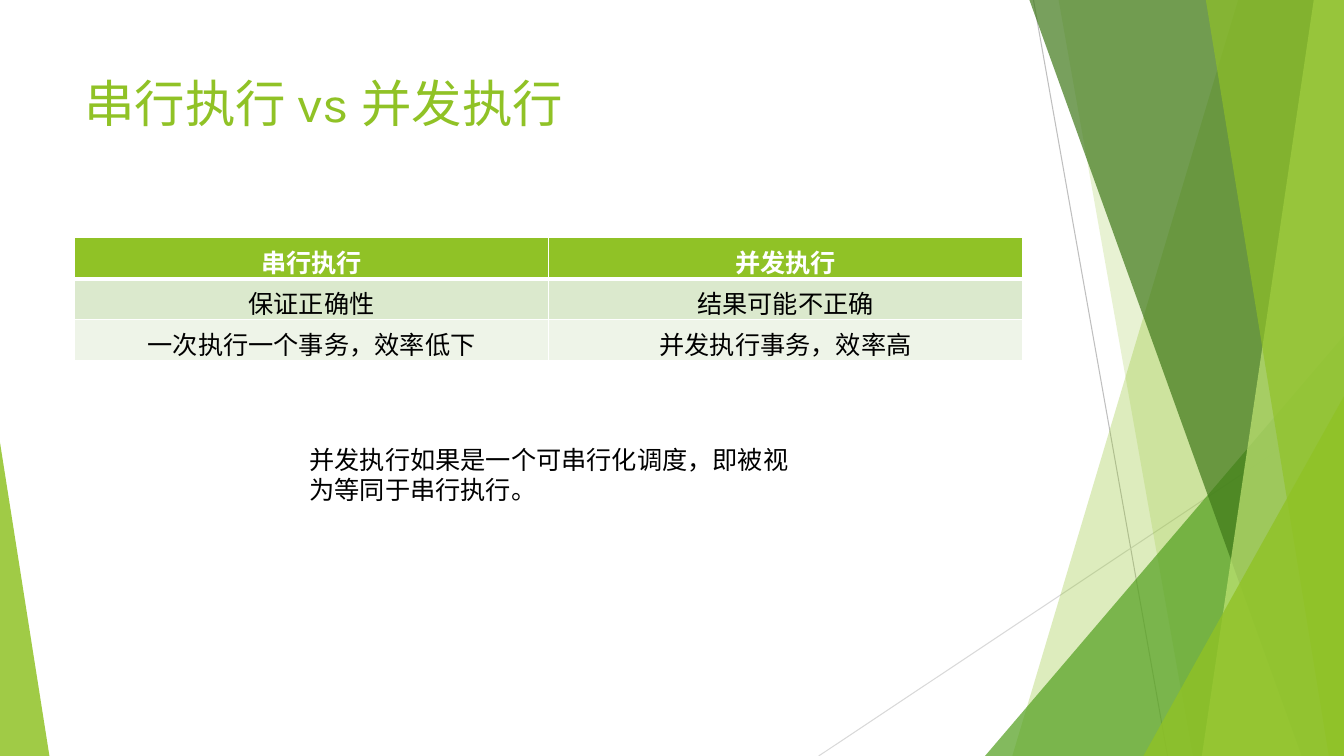
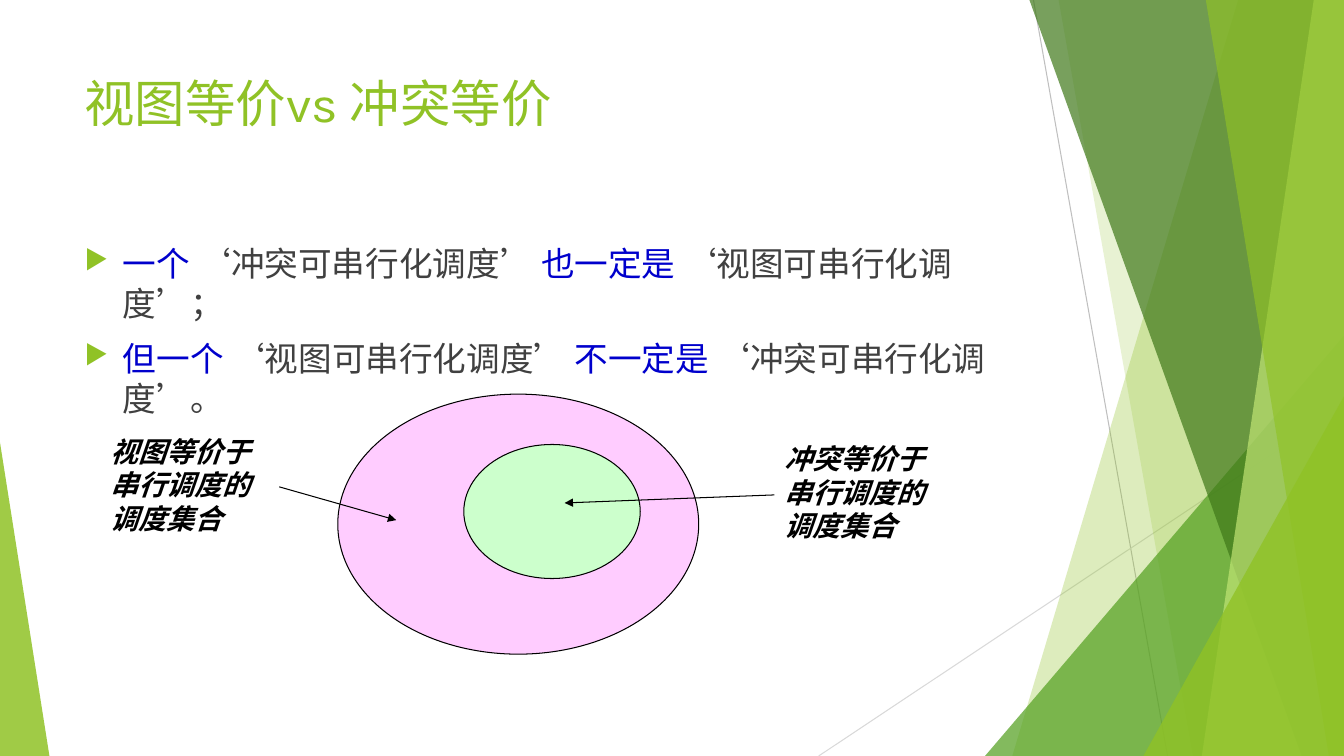
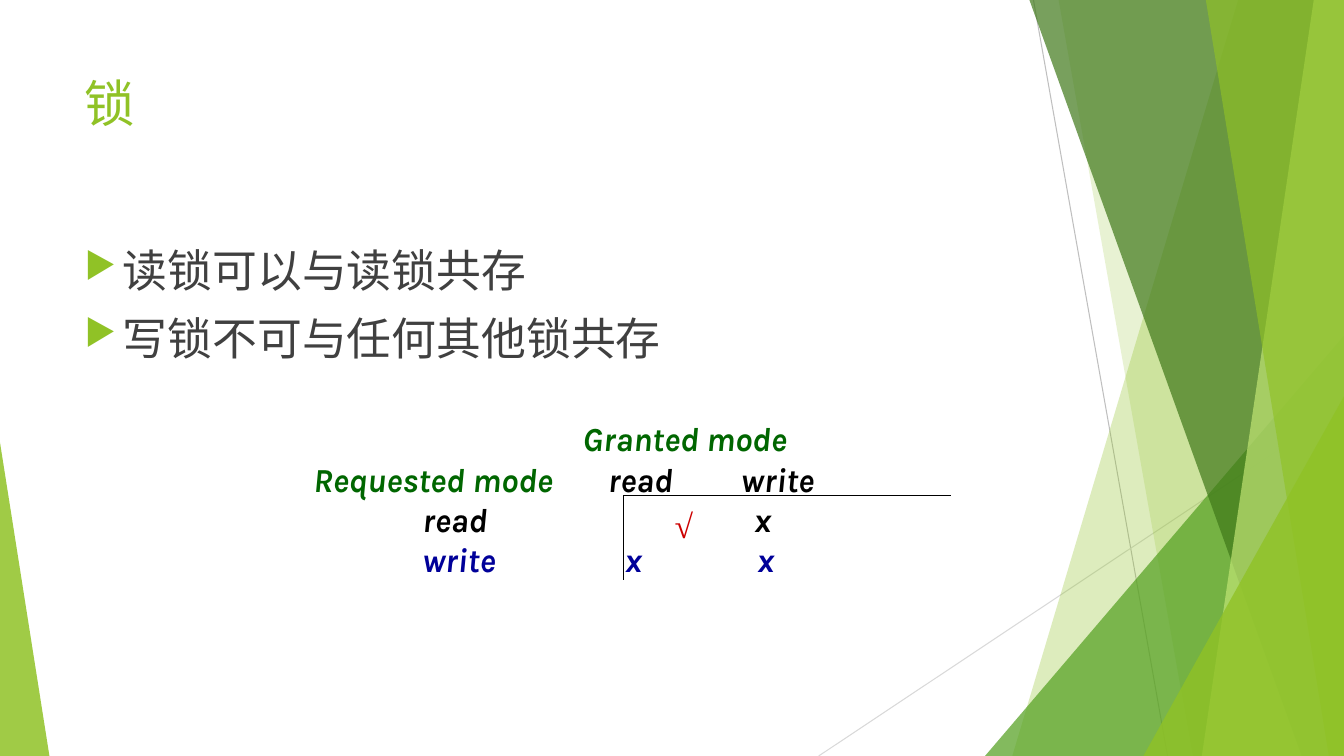
from dataclasses import dataclass

from lxml.etree import SubElement
from pptx import Presentation
from pptx.dml.color import RGBColor
from pptx.enum.shapes import MSO_CONNECTOR, MSO_SHAPE
from pptx.enum.text import PP_ALIGN
from pptx.oxml.ns import qn
from pptx.util import Inches, Pt


@dataclass(frozen=True)
class Theme:
    font: str = "Karla"
    label_font: str = "Times New Roman"
    lime: str = "90C226"
    pale_lime: str = "C0E474"
    green: str = "54A021"
    dark_green: str = "3F7819"
    row_tint: str = "DBE9CD"
    row_pale: str = "EEF4E8"
    white: str = "FFFFFF"
    black: str = "000000"
    body: str = "404040"
    blue: str = "0000CC"
    navy: str = "000099"
    heading_green: str = "006600"
    red: str = "CC0000"
    pink: str = "FFCCFF"
    mint: str = "CCFFCC"
    gray: str = "BFBFBF"
    pale_gray: str = "D9D9D9"
    title_size: int = 36
    large_size: int = 32
    text_size: int = 24
    label_size: int = 20
    small_size: int = 18


theme = Theme()
WIDTH, HEIGHT = 13.33, 7.5
MARGIN, CONTENT_WIDTH = 0.74, 9.4
BODY_AREA = (MARGIN, 2.36, CONTENT_WIDTH, 4.24)


def write_text(frame, paragraphs, size=theme.small_size, color=theme.black, font=theme.font,
               bold=False, italic=False, align=None, bullet=False, tabs=()):
    """Fill a frame; a paragraph is a string or a list of (text, color) spans.

    tabs holds one list of tab positions, in inches, for each paragraph.
    """
    frame.word_wrap = True
    for index, spans in enumerate(paragraphs):
        para = frame.paragraphs[0] if index == 0 else frame.add_paragraph()
        para.alignment = align
        for text, span_color in [(spans, color)] if isinstance(spans, str) else spans:
            span = para.add_run()
            span.text = text
            span.font.name, span.font.size = font, Pt(size)
            span.font.bold, span.font.italic = bold, italic
            span.font.color.rgb = RGBColor.from_string(span_color)
        properties = para._p.get_or_add_pPr()
        if bullet:
            para.space_before = Pt(10)
            properties.set("marL", str(Inches(0.38)))
            properties.set("indent", str(-Inches(0.38)))
            bullet_color = SubElement(properties, qn("a:buClr"))
            SubElement(bullet_color, qn("a:srgbClr"), val=theme.lime)
            SubElement(properties, qn("a:buSzPct"), val="80000")
            SubElement(properties, qn("a:buChar"), char="▶")
        if tabs:
            tab_list = SubElement(properties, qn("a:tabLst"))
            for position in tabs[index]:
                SubElement(tab_list, qn("a:tab"), pos=str(Inches(position)), algn="l")


def add_line(slide, start, end, color=theme.black, arrow=False):
    line = slide.shapes.add_connector(MSO_CONNECTOR.STRAIGHT, *map(Inches, (*start, *end)))
    line.line.color.rgb = RGBColor.from_string(color)
    line.line.width = Pt(0.75)
    if arrow:
        SubElement(line.line._get_or_add_ln(), qn("a:tailEnd"), type="triangle")
    SubElement(line.element.spPr, qn("a:effectLst"))
    return line


deck = Presentation()
deck.slide_width, deck.slide_height = Inches(WIDTH), Inches(HEIGHT)
blank = deck.slide_layouts[6]
for holder in list(blank.placeholders):
    blank.shapes.element.remove(holder.element)

# Titles, one slide each
slides = []
for title in ("串行执行 vs 并发执行", "视图等价vs 冲突等价", "锁"):
    slide = deck.slides.add_slide(blank)
    box = slide.shapes.add_textbox(*map(Inches, (MARGIN, 0.67, CONTENT_WIDTH, 1.44)))
    write_text(box.text_frame, [title], size=theme.title_size, color=theme.lime)
    slides.append(slide)
compare_slide, equivalence_slide, lock_slide = slides

# Decoration, drawn once and moved to the shared layout
decoration = [
    add_line(compare_slide, (10.25, 0), (11.58, HEIGHT), theme.gray),
    add_line(compare_slide, (WIDTH, 4.03), (8.12, HEIGHT), theme.pale_gray),
]
# A band is (top left x, bottom left x); a triangle is (left, top, width, tip position)
facets = [
    ((12.28, 10.04), theme.lime, 30),
    ((10.5, 11.83), theme.lime, 20),
    ((9.77, 3.33, 3.56, 1), theme.green, 72),
    ((10.21, 12.91), theme.dark_green, 70),
    ((13.03, 11.92), theme.pale_lime, 70),
    ((11.96, 13.18), theme.lime, 65),
    ((11.34, 3.93, 1.99, 1), theme.lime, 80),
    ((0, 4.39, 0.49, 0), theme.lime, 85),
]
for geometry, color, opacity in facets:
    if len(geometry) == 2:
        top_x, bottom_x = geometry
        builder = compare_slide.shapes.build_freeform(Inches(top_x), 0)
        corners = [(WIDTH, 0), (WIDTH, HEIGHT), (bottom_x, HEIGHT)]
        builder.add_line_segments([(Inches(x), Inches(y)) for x, y in corners])
        facet = builder.convert_to_shape()
    else:
        left, top, width, tip = geometry
        facet = compare_slide.shapes.add_shape(
            MSO_SHAPE.ISOSCELES_TRIANGLE, *map(Inches, (left, top, width, HEIGHT - top)))
        facet.adjustments[0] = tip
    facet.shadow.inherit = False
    facet.fill.solid()
    facet.fill.fore_color.rgb = RGBColor.from_string(color)
    facet.line.fill.background()
    fill_color = facet.element.spPr.find(qn("a:solidFill")).find(qn("a:srgbClr"))
    SubElement(fill_color, qn("a:alpha"), val=str(opacity * 1000))
    decoration.append(facet)
for part in decoration:
    blank.shapes.element.append(part.element)

# Serial and concurrent execution
rows = [
    ("串行执行", "并发执行"),
    ("保证正确性", "结果可能不正确"),
    ("一次执行一个事务，效率低下", "并发执行事务，效率高"),
]
row_fills = (theme.lime, theme.row_tint, theme.row_pale)
table = compare_slide.shapes.add_table(
    len(rows), 2, *map(Inches, (MARGIN, 2.36, CONTENT_WIDTH, 1.22))).table
for row_index, (texts, fill) in enumerate(zip(rows, row_fills)):
    header = row_index == 0
    for column, text in enumerate(texts):
        cell = table.cell(row_index, column)
        write_text(cell.text_frame, [text], color=theme.white if header else theme.black,
                   bold=header, align=PP_ALIGN.CENTER)
        for side in ("L", "R", "T", "B"):
            thick = (header and side == "B") or (row_index == 1 and side == "T")
            border = SubElement(cell._tc.get_or_add_tcPr(), qn(f"a:ln{side}"),
                                w=str(Pt(3 if thick else 1)))
            border_fill = SubElement(border, qn("a:solidFill"))
            SubElement(border_fill, qn("a:srgbClr"), val=theme.white)
        cell.fill.solid()
        cell.fill.fore_color.rgb = RGBColor.from_string(fill)
box = compare_slide.shapes.add_textbox(*map(Inches, (2.97, 4.36, 5.19, 0.71)))
write_text(box.text_frame, ["并发执行如果是一个可串行化调度，即被视为等同于串行执行。"])

# View and conflict equivalence
box = equivalence_slide.shapes.add_textbox(*map(Inches, BODY_AREA))
write_text(box.text_frame, [
    [("一个 ", theme.blue), ("‘冲突可串行化调度’ ", theme.body),
     ("也一定是 ", theme.blue), ("‘视图可串行化调度’；", theme.body)],
    [("但一个 ", theme.blue), ("‘视图可串行化调度’ ", theme.body),
     ("不一定是 ", theme.blue), ("‘冲突可串行化调度’。", theme.body)],
], size=theme.text_size, bullet=True)
for area, color in (((3.35, 3.91, 3.58, 2.58), theme.pink),
                    ((4.6, 4.41, 1.75, 1.33), theme.mint)):
    ellipse = equivalence_slide.shapes.add_shape(MSO_SHAPE.OVAL, *map(Inches, area))
    ellipse.shadow.inherit = False
    ellipse.fill.solid()
    ellipse.fill.fore_color.rgb = RGBColor.from_string(color)
    ellipse.line.color.rgb = RGBColor.from_string(theme.black)
    ellipse.line.width = Pt(0.75)
set_labels = [
    ("视图等价于串行调度的调度集合", (1, 4.26, 1.77, 1.11), (2.77, 4.83), (3.93, 5.16)),
    ("冲突等价于串行调度的调度集合", (7.68, 4.33, 1.86, 1.11), (7.68, 4.91), (5.6, 4.99)),
]
for text, area, start, end in set_labels:
    box = equivalence_slide.shapes.add_textbox(*map(Inches, area))
    write_text(box.text_frame, [text], size=theme.label_size, font=theme.label_font,
               bold=True, italic=True)
    add_line(equivalence_slide, start, end, arrow=True)

# Locks and their compatibility matrix
box = lock_slide.shapes.add_textbox(*map(Inches, BODY_AREA))
write_text(box.text_frame, ["读锁可以与读锁共存", "写锁不可与任何其他锁共存"],
           size=theme.large_size, color=theme.body, bullet=True)
box = lock_slide.shapes.add_textbox(*map(Inches, (3.01, 4.1, 6.41, 1.7)))
write_text(box.text_frame, [
    [("\tGranted mode", theme.heading_green)],
    [("Requested mode", theme.heading_green), ("\tread\twrite", theme.black)],
    "\tread\tx",
    [("\twrite\tx\tx", theme.navy)],
], size=theme.text_size, bold=True, italic=True,
    tabs=[[2.67], [2.92, 4.24], [1.08, 4.37], [1.08, 3.09, 4.4]])
corner = (6.18, 4.92)
for end in ((6.18, 5.75), (9.43, 4.92)):
    add_line(lock_slide, corner, end)
box = lock_slide.shapes.add_textbox(*map(Inches, (6.59, 4.96, 0.67, 0.5)))
write_text(box.text_frame, ["√"], size=theme.text_size, color=theme.red,
           font=theme.label_font, bold=True, italic=True)

deck.save("out.pptx")
